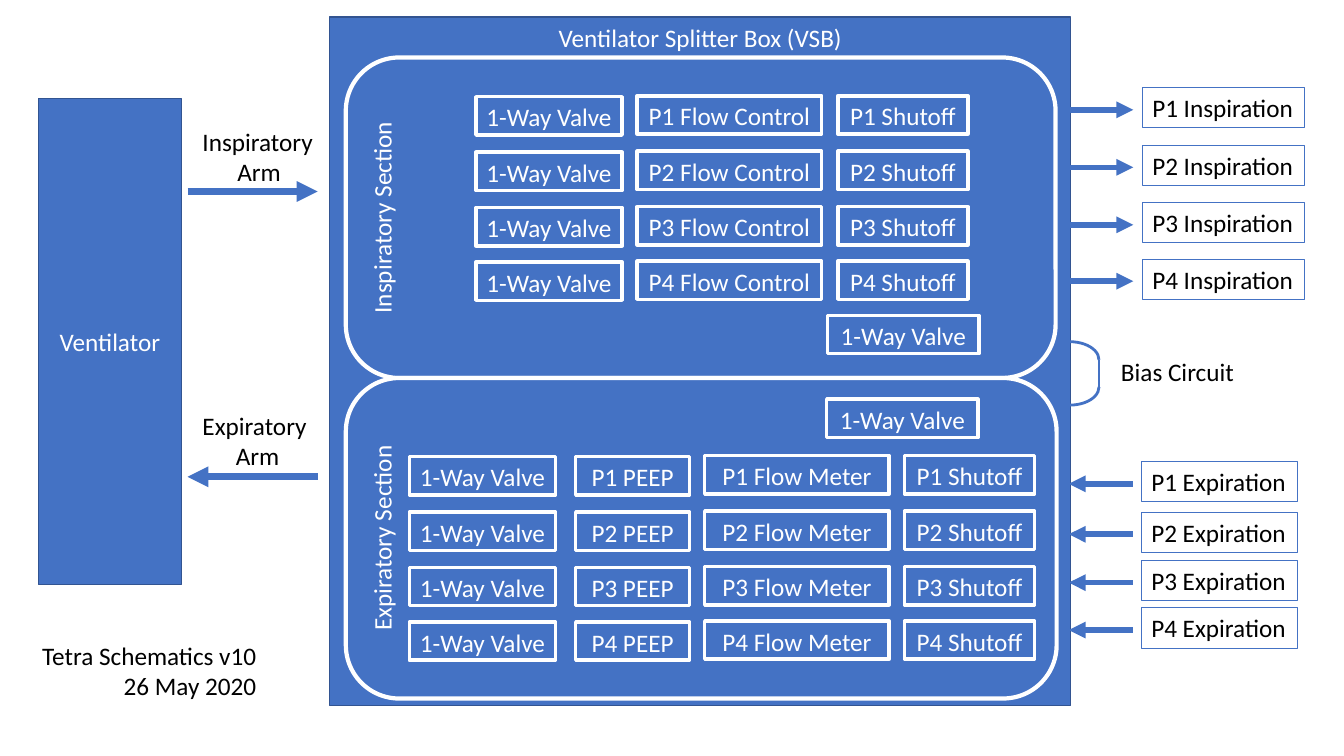
from dataclasses import dataclass
from typing import Any, Optional

import lxml.etree
import pptx
import pptx.dml.color
import pptx.enum.shapes
import pptx.enum.text
import pptx.oxml.ns
import pptx.util

SCALE = 9144
FONT = "Calibri"
COLORS = {"blue": "4472C4", "navy": "325491", "white": "FFFFFF", "black": "000000"}
Kind = pptx.enum.shapes.MSO_SHAPE
Align = pptx.enum.text.PP_ALIGN
Anchor = pptx.enum.text.MSO_ANCHOR


@dataclass(frozen=True)
class Rect:
    left: int
    top: int
    width: int
    height: int


@dataclass(frozen=True)
class Style:
    fill: Optional[str]
    edge: str
    weight: float


@dataclass(frozen=True)
class Column:
    label: str
    left: int
    width: int
    drop: int = 0


@dataclass(frozen=True)
class Section:
    name: str
    frame: Rect
    first_row: int
    columns: tuple[Column, ...]
    bias_valve: Rect


@dataclass(frozen=True)
class Arm:
    name: str
    label: Rect
    arrow_y: int
    arrowhead: str


@dataclass(frozen=True)
class Ports:
    name: str
    left: int
    width: int
    tops: tuple[int, ...]
    arrowhead: str


HOUSING = Style("blue", "navy", 1)
SECTION = Style("blue", "white", 3)
PART = Style("blue", "white", 2.5)
PORT = Style(None, "blue", 0.75)
TUBE = Style(None, "blue", 2)

ROW_OFFSETS = (0, 55, 110, 164)
PART_HEIGHT = 38

SECTIONS = (
    Section("Inspiratory Section", Rect(343, 57, 704, 318), 95, (
        Column("1-Way Valve", 472, 145, 1),
        Column("P{} Flow Control", 632, 183),
        Column("P{} Shutoff", 831, 129),
    ), Rect(821, 313, 150, PART_HEIGHT)),
    Section("Expiratory Section", Rect(343, 375, 705, 318), 452, (
        Column("1-Way Valve", 406, 145, 1),
        Column("P{} PEEP", 571, 113, 1),
        Column("P{} Flow Meter", 699, 183),
        Column("P{} Shutoff", 897, 129),
    ), Rect(820, 396, 150, PART_HEIGHT)),
)
ARMS = (
    Arm("Inspiratory", Rect(191, 120, 132, 71), 190, "tailEnd"),
    Arm("Expiratory", Rect(191, 402, 129, 71), 473, "headEnd"),
)
PORTS = (
    Ports("Inspiration", 1133, 161, (87, 144, 201, 257), "tailEnd"),
    Ports("Expiration", 1132, 155, (458, 508, 556, 603), "headEnd"),
)


def px(value: int) -> pptx.util.Emu:
    return pptx.util.Emu(value * SCALE)


def rgb(name: str) -> pptx.dml.color.RGBColor:
    return pptx.dml.color.RGBColor.from_string(COLORS[name])


def bounds(rect: Rect) -> tuple[pptx.util.Emu, ...]:
    return px(rect.left), px(rect.top), px(rect.width), px(rect.height)


def write(box: Any, lines: tuple[str, ...], aligns: tuple[Any, ...], ink: str) -> None:
    frame = box.text_frame
    for index, (line, align) in enumerate(zip(lines, aligns)):
        para = frame.paragraphs[0] if index == 0 else frame.add_paragraph()
        para.alignment = align
        span = para.add_run()
        span.text = line
        span.font.name = FONT
        span.font.size = pptx.util.Pt(18)
        span.font.color.rgb = rgb(ink)


def add_outline(box: Any, style: Style) -> None:
    if style.fill:
        box.fill.solid()
        box.fill.fore_color.rgb = rgb(style.fill)
    else:
        box.fill.background()
    box.line.color.rgb = rgb(style.edge)
    box.line.width = pptx.util.Pt(style.weight)


def add_block(shapes: Any, kind: Any, rect: Rect, style: Style, text: str = "",
              anchor: Any = Anchor.TOP) -> Any:
    box = shapes.add_shape(kind, *bounds(rect))
    box.shadow.inherit = False
    add_outline(box, style)
    if text:
        box.text_frame.vertical_anchor = anchor
        write(box, (text,), (Align.CENTER,), "white")
    return box


def add_label(shapes: Any, rect: Rect, lines: tuple[str, ...],
              aligns: tuple[Any, ...] = (Align.LEFT,), wrap: bool = False) -> Any:
    box = shapes.add_textbox(*bounds(rect))
    box.text_frame.word_wrap = wrap
    box.text_frame.auto_size = pptx.enum.text.MSO_AUTO_SIZE.SHAPE_TO_FIT_TEXT
    write(box, lines, aligns, "black")
    return box


def add_line(shapes: Any, start: tuple[int, int], end: tuple[int, int], weight: float,
             arrowhead: Optional[str] = None) -> None:
    line = shapes.add_connector(pptx.enum.shapes.MSO_CONNECTOR.STRAIGHT,
                                *map(px, start + end))
    line.line.color.rgb = rgb("blue")
    line.line.width = pptx.util.Pt(weight)
    if arrowhead:
        tip = lxml.etree.SubElement(line.line._get_or_add_ln(),
                                    pptx.oxml.ns.qn(f"a:{arrowhead}"))
        tip.set("type", "triangle")
    lxml.etree.SubElement(line.element.spPr, pptx.oxml.ns.qn("a:effectLst"))


def draw_section(shapes: Any, section: Section) -> None:
    frame = add_block(shapes, Kind.ROUNDED_RECTANGLE, section.frame, SECTION, section.name)
    frame.element.txBody.bodyPr.set("vert", "vert270")
    for column in section.columns:
        for patient, offset in enumerate(ROW_OFFSETS, 1):
            rect = Rect(column.left, section.first_row + offset + column.drop,
                        column.width, PART_HEIGHT)
            add_block(shapes, Kind.RECTANGLE, rect, PART, column.label.format(patient))


def draw_arm(shapes: Any, arm: Arm) -> None:
    add_line(shapes, (186, arm.arrow_y), (315, arm.arrow_y), 5, arm.arrowhead)
    add_label(shapes, arm.label, (arm.name, "Arm"), (Align.LEFT, Align.CENTER), wrap=True)


def draw_ports(shapes: Any, ports: Ports) -> None:
    for patient, top in enumerate(ports.tops, 1):
        add_line(shapes, (1060, top + 22), (1124, top + 22), 4, ports.arrowhead)
        port = add_label(shapes, Rect(ports.left, top, ports.width, 40),
                         (f"P{patient} {ports.name}",))
        add_outline(port, PORT)


def draw_bias_circuit(shapes: Any) -> None:
    group = shapes.add_group_shape().shapes
    add_block(group, Kind.ARC, Rect(1032, 339, 58, 36), TUBE)
    add_line(group, (1090, 357), (1090, 384), TUBE.weight)
    lower_bend = add_block(group, Kind.ARC, Rect(1043, 355, 36, 58), TUBE)
    lower_bend.rotation = 90
    add_label(group, Rect(1102, 349, 133, 40), ("Bias Circuit",))


def main() -> None:
    deck = pptx.Presentation()
    deck.slide_width, deck.slide_height = px(1333), px(750)
    page = deck.slides.add_slide(deck.slide_layouts[6])
    shapes = page.shapes
    add_block(shapes, Kind.RECTANGLE, Rect(327, 17, 735, 683), HOUSING,
              "Ventilator Splitter Box (VSB)")
    add_block(shapes, Kind.RECTANGLE, Rect(38, 98, 142, 482), HOUSING,
              "Ventilator", Anchor.MIDDLE)
    for arm in ARMS:
        draw_arm(shapes, arm)
    for section in SECTIONS:
        draw_section(shapes, section)
    for section in SECTIONS:
        add_block(shapes, Kind.RECTANGLE, section.bias_valve, PART, "1-Way Valve")
    for ports in PORTS:
        draw_ports(shapes, ports)
    draw_bias_circuit(shapes)
    add_label(shapes, Rect(32, 630, 255, 71), ("Tetra Schematics v10", "26 May 2020"),
              (Align.LEFT, Align.RIGHT))
    deck.save("out.pptx")


if __name__ == "__main__":
    main()
